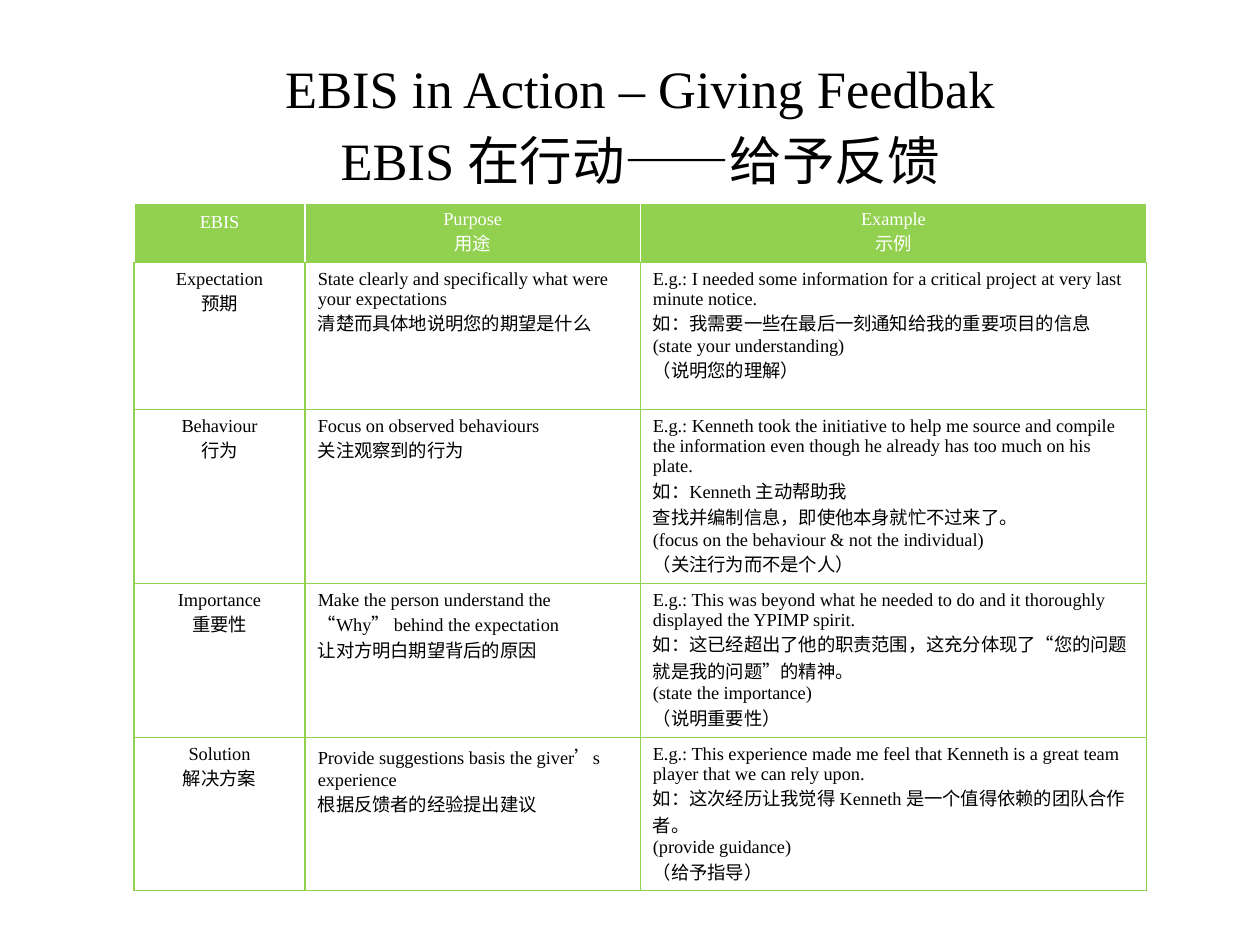
from lxml.etree import SubElement
from pptx import Presentation
from pptx.dml.color import RGBColor
from pptx.enum.text import MSO_ANCHOR, PP_ALIGN
from pptx.oxml.ns import qn
from pptx.util import Pt

TITLE = ["EBIS in Action – Giving Feedbak\nEBIS 在行动——给予反馈"]
HEADS = ["EBIS", "Purpose\n用途", "Example\n示例"]
STEPS = [
    ("Expectation\n预期",
     "State clearly and specifically what were your expectations\n清楚而具体地说明您的期望是什么",
     ["E.g.: I needed some information for a critical project at very last minute notice.\n"
      "如：我需要一些在最后一刻通知给我的重要项目的信息",
      "(state your understanding)\n（说明您的理解）"]),
    ("Behaviour\n行为",
     "Focus on observed behaviours\n关注观察到的行为",
     ["E.g.: Kenneth took the initiative to help me source and compile the information "
      "even though he already has too much on his plate.\n如：Kenneth 主动帮助我",
      "查找并编制信息，即使他本身就忙不过来了。",
      "(focus on the behaviour & not the individual)\n（关注行为而不是个人）"]),
    ("Importance\n重要性",
     "Make the person understand the “Why” behind the expectation\n让对方明白期望背后的原因",
     ["E.g.: This was beyond what he needed to do and it thoroughly displayed the YPIMP spirit.\n"
      "如：这已经超出了他的职责范围，这充分体现了“您的问题就是我的问题”的精神。",
      "(state the importance)\n（说明重要性）"]),
    ("Solution\n解决方案",
     "Provide suggestions basis the giver’s experience\n根据反馈者的经验提出建议",
     ["E.g.: This experience made me feel that Kenneth is a great team player that we can rely upon.\n"
      "如：这次经历让我觉得 Kenneth 是一个值得依赖的团队合作者。",
      "(provide guidance)\n（给予指导）"]),
]

THEME = {"font": "Times New Roman", "big": 30, "small": 10.5, "line": 1,
         "green": "92D050", "white": "FFFFFF", "black": "000000"}
WIDTHS = [97.9, 191.5, 289.4]
HEIGHTS = [84.3, 33.7, 84, 99.4, 88, 87.4]
LEFT, TOP = 76.5, 31.7
PADS = {"margin_left": Pt(7.2), "margin_right": Pt(7.2),
        "margin_top": Pt(3.6), "margin_bottom": Pt(3.6)}
FLAGS = {"first_row": False, "horz_banding": False}


def apply(thing, form):
    for key, value in form.items():
        setattr(thing, key, value)


def edge(cell):
    props = cell._tc.get_or_add_tcPr()
    for side in ("lnL", "lnR", "lnT", "lnB"):
        line = SubElement(props, qn("a:" + side), w=str(Pt(THEME["line"])))
        fill = SubElement(line, qn("a:solidFill"))
        SubElement(fill, qn("a:srgbClr"), val=THEME["green"])


def write(cell, paras, size="small", ink="black", back="white", align=PP_ALIGN.LEFT,
          anchor=MSO_ANCHOR.TOP):
    apply(cell, PADS | {"vertical_anchor": anchor})
    cell.fill.solid()
    cell.fill.fore_color.rgb = RGBColor.from_string(THEME[back])
    frame = cell.text_frame
    for i, text in enumerate(paras):
        para = frame.add_paragraph() if i else frame.paragraphs[0]
        para.text = text
        para.alignment = align
        for run in para.runs:
            apply(run.font, {"name": THEME["font"], "size": Pt(THEME[size])})
            run.font.color.rgb = RGBColor.from_string(THEME[ink])


def main():
    deck = Presentation()
    apply(deck, {"slide_width": Pt(720), "slide_height": Pt(540)})
    slide = deck.slides.add_slide(deck.slide_layouts[6])
    table = slide.shapes.add_table(len(HEIGHTS), len(WIDTHS), Pt(LEFT), Pt(TOP),
                                   Pt(sum(WIDTHS)), Pt(sum(HEIGHTS))).table
    apply(table, FLAGS)
    for col, width in zip(table.columns, WIDTHS):
        col.width = Pt(width)
    for row, height in zip(table.rows, HEIGHTS):
        row.height = Pt(height)

    top = table.cell(0, 0)
    top.merge(table.cell(0, len(WIDTHS) - 1))
    write(top, TITLE, size="big", align=PP_ALIGN.CENTER)
    for c, head in enumerate(HEADS):
        write(table.cell(1, c), [head], ink="white", back="green",
              align=PP_ALIGN.CENTER, anchor=MSO_ANCHOR.MIDDLE)
    table.cell(1, 0).margin_bottom = Pt(15)
    for r, (name, goal, case) in enumerate(STEPS, 2):
        for c, paras in enumerate(([name], [goal], case)):
            cell = table.cell(r, c)
            edge(cell)
            write(cell, paras, align=PP_ALIGN.LEFT if c else PP_ALIGN.CENTER)
    deck.save("out.pptx")


if __name__ == "__main__":
    main()
